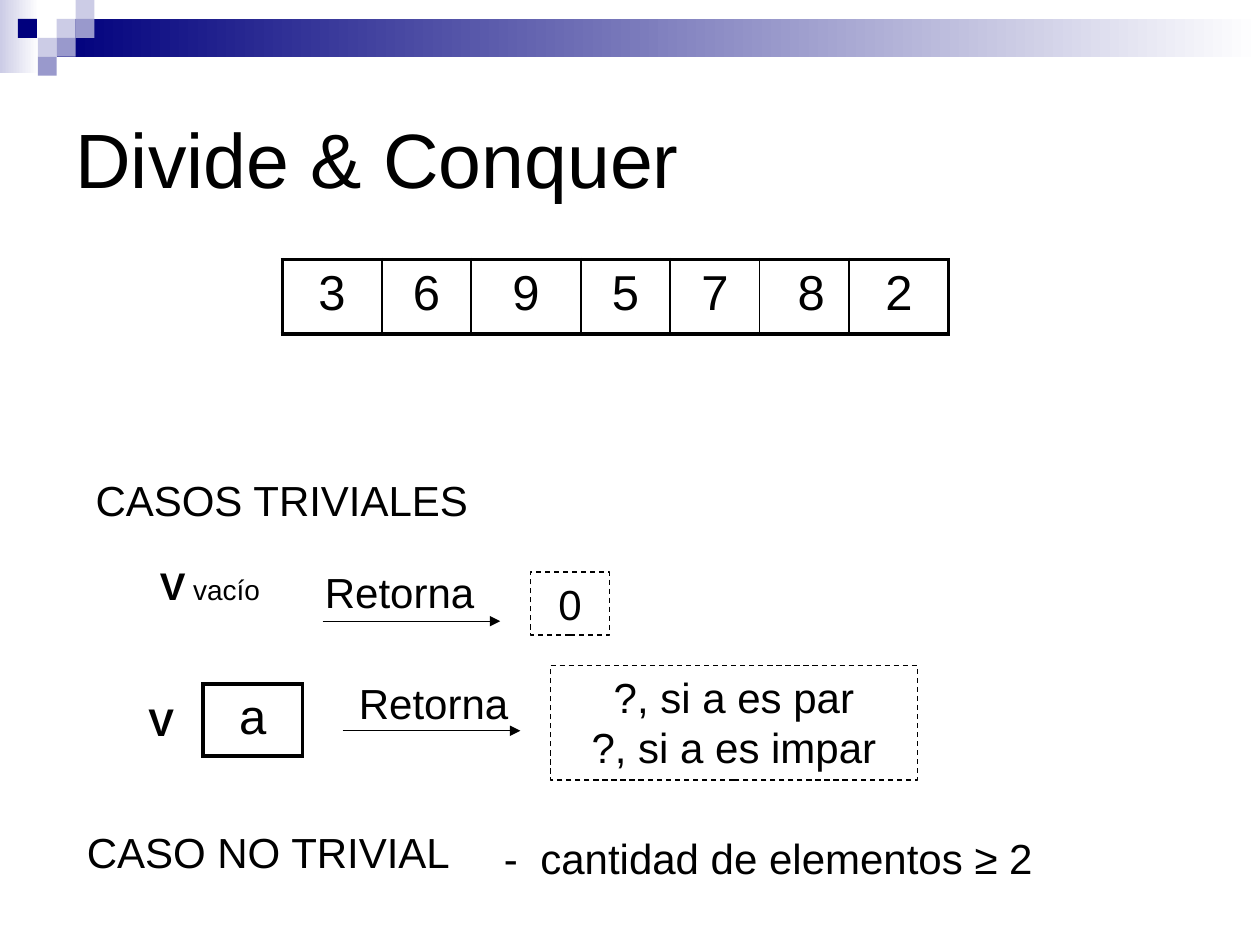
from dataclasses import dataclass

from lxml import etree
from pptx import Presentation, util as u
from pptx.dml.color import RGBColor
from pptx.enum import dml, shapes, text
from pptx.oxml import ns

SLIDE_WIDTH, SLIDE_HEIGHT = u.Inches(10), u.Inches(7.5)
COLUMNS, ROWS = 100, 75
TILE = 1.5


@dataclass(frozen=True)
class Theme:
    """Colours, font and type sizes of the slide."""
    font: str = "Arial"
    ink: str = "000000"
    paper: str = "FFFFFF"
    navy: str = "00007D"
    lilac: str = "CCCCE6"
    violet: str = "9999CC"
    title: float = 44
    cell: float = 28
    body: float = 24
    vector: float = 22
    note: float = 16
    thick: float = 2.25
    thin: float = 1
    hairline: float = 0.75


THEME = Theme()


def grid(*lengths):
    """Turn alternating column and row counts into slide lengths."""
    units = (SLIDE_WIDTH / COLUMNS, SLIDE_HEIGHT / ROWS)
    return [u.Emu(round(length * units[i % 2])) for i, length in enumerate(lengths)]


def rgb(colour):
    """Return a colour object for a hex value."""
    return RGBColor.from_string(colour)


def write(frame, *paragraphs, size=THEME.body, bold=False, align=text.PP_ALIGN.LEFT,
          anchor=text.MSO_ANCHOR.TOP, hanging=0):
    """Fill a text frame; a paragraph is a string or a list of (text, size, bold)."""
    frame.word_wrap = True
    frame.vertical_anchor = anchor
    for i, content in enumerate(paragraphs):
        paragraph = frame.paragraphs[0] if i == 0 else frame.add_paragraph()
        paragraph.alignment = align
        if hanging:
            indent = grid(hanging)[0]
            properties = paragraph._p.get_or_add_pPr()
            properties.set("marL", str(indent))
            properties.set("indent", str(-indent))
        runs = [(content, size, bold)] if isinstance(content, str) else content
        for words, points, weight in runs:
            run = paragraph.add_run()
            run.text = words
            run.font.name = THEME.font
            run.font.size = u.Pt(points)
            run.font.bold = weight
            run.font.color.rgb = rgb(THEME.ink)


def label(slide, place, *paragraphs, **style):
    """Add a text box at a grid place."""
    write(slide.shapes.add_textbox(*grid(*place)).text_frame, *paragraphs, **style)


def block(slide, place, *colours):
    """Add a borderless rectangle, plain or fading from left to right."""
    panel = slide.shapes.add_shape(shapes.MSO_SHAPE.RECTANGLE, *grid(*place))
    panel.shadow.inherit = False
    panel.line.fill.background()
    if len(colours) == 1:
        panel.fill.solid()
        panel.fill.fore_color.rgb = rgb(colours[0])
        return
    panel.fill.gradient()
    panel.fill.gradient_angle = 0
    for stop, position, colour in zip(panel.fill.gradient_stops, (0, 1), colours):
        stop.position = position
        stop.color.rgb = rgb(colour)


def result(slide, place, *paragraphs):
    """Add a dashed box holding a returned value."""
    box = slide.shapes.add_shape(shapes.MSO_SHAPE.RECTANGLE, *grid(*place))
    box.shadow.inherit = False
    box.fill.background()
    box.line.color.rgb = rgb(THEME.ink)
    box.line.width = u.Pt(THEME.hairline)
    box.line.dash_style = dml.MSO_LINE.DASH
    write(box.text_frame, *paragraphs, align=text.PP_ALIGN.CENTER)


def arrow(slide, left, right, row):
    """Add a horizontal arrow pointing right."""
    line = slide.shapes.add_connector(shapes.MSO_CONNECTOR.STRAIGHT,
                                      *grid(left, row, right, row))
    line.line.color.rgb = rgb(THEME.ink)
    line.line.width = u.Pt(THEME.hairline)
    etree.SubElement(line.line._get_or_add_ln(), ns.qn("a:tailEnd"), type="triangle")
    etree.SubElement(line._element.spPr, ns.qn("a:effectLst"))


def border(cell, widths):
    """Draw the left, right, top and bottom borders of a cell."""
    properties = cell._tc.get_or_add_tcPr()
    for i, (side, width) in enumerate(zip("LRTB", widths)):
        edge = etree.Element(ns.qn(f"a:ln{side}"), w=str(u.Pt(width)))
        fill = etree.SubElement(edge, ns.qn("a:solidFill"))
        etree.SubElement(fill, ns.qn("a:srgbClr"), val=THEME.ink)
        properties.insert(i, edge)


def vector(slide, left, top, height, values, widths):
    """Add a one-row table with a thick frame and thin dividers."""
    place = grid(left, top, sum(widths), height)
    table = slide.shapes.add_table(1, len(values), *place).table
    table.first_row = table.horz_banding = False
    table.rows[0].height = place[3]
    last = len(values) - 1
    for i, (value, width) in enumerate(zip(values, widths)):
        table.columns[i].width = grid(width)[0]
        cell = table.cell(0, i)
        cell.fill.background()
        write(cell.text_frame, value, size=THEME.cell, align=text.PP_ALIGN.CENTER)
        border(cell, (THEME.thick if i == 0 else THEME.thin,
                      THEME.thick if i == last else THEME.thin,
                      THEME.thick, THEME.thick))


def banner(slide):
    """Draw the fading bands and the mosaic of tiles at the top."""
    block(slide, (0, 0, 3.1, 5.8), THEME.lilac, THEME.paper)
    block(slide, (4.5, 1.5, 95.5, 3), THEME.navy, THEME.paper)
    mosaic = {THEME.lilac: [(3, 1), (4, 0), (2, 2)],
              THEME.violet: [(4, 1), (3, 2), (2, 3)],
              THEME.navy: [(0.95, 1)]}
    for colour, tiles in mosaic.items():
        for column, row in tiles:
            block(slide, (column * TILE, row * TILE, TILE, TILE), colour)


def main():
    """Build and save the slide."""
    deck = Presentation()
    deck.slide_width, deck.slide_height = SLIDE_WIDTH, SLIDE_HEIGHT
    slide = deck.slides.add_slide(deck.slide_layouts[6])

    banner(slide)
    label(slide, (5, 5, 90, 15), "Divide & Conquer", size=THEME.title,
          anchor=text.MSO_ANCHOR.MIDDLE)
    vector(slide, 22.4, 20.6, 5.9, ["3", "6", "9", "5", "7", " 8", "2"],
           [7.9, 7.1, 8.7, 7.1, 7.1, 7.1, 7.9])

    label(slide, (6.6, 37.2, 33.1, 5), "CASOS TRIVIALES")
    label(slide, (11.7, 44.1, 45.4, 4.7),
          [("V", THEME.vector, True), (" vacío", THEME.note, False)])
    label(slide, (10.8, 54.9, 45.4, 4.7), "V", size=THEME.vector, bold=True)
    vector(slide, 16.1, 54.3, 5.7, ["a"], [7.9])

    for left, top, start, row in [(24.8, 44.5, 25.6, 49.3), (27.5, 53.3, 27.2, 58)]:
        label(slide, (left, top, 16.5, 5), "Retorna")
        arrow(slide, start, start + 14.1, row)
    result(slide, (42.1, 45.4, 6.3, 5), "0")
    result(slide, (43.7, 52.8, 29.1, 9.1), "?, si a es par", "?, si a es impar")

    label(slide, (5.9, 65.1, 33.1, 5), "CASO NO TRIVIAL")
    label(slide, (39, 65.6, 47.3, 5), "-\tcantidad de elementos ≥ 2", hanging=2.9)
    deck.save("out.pptx")


main()
